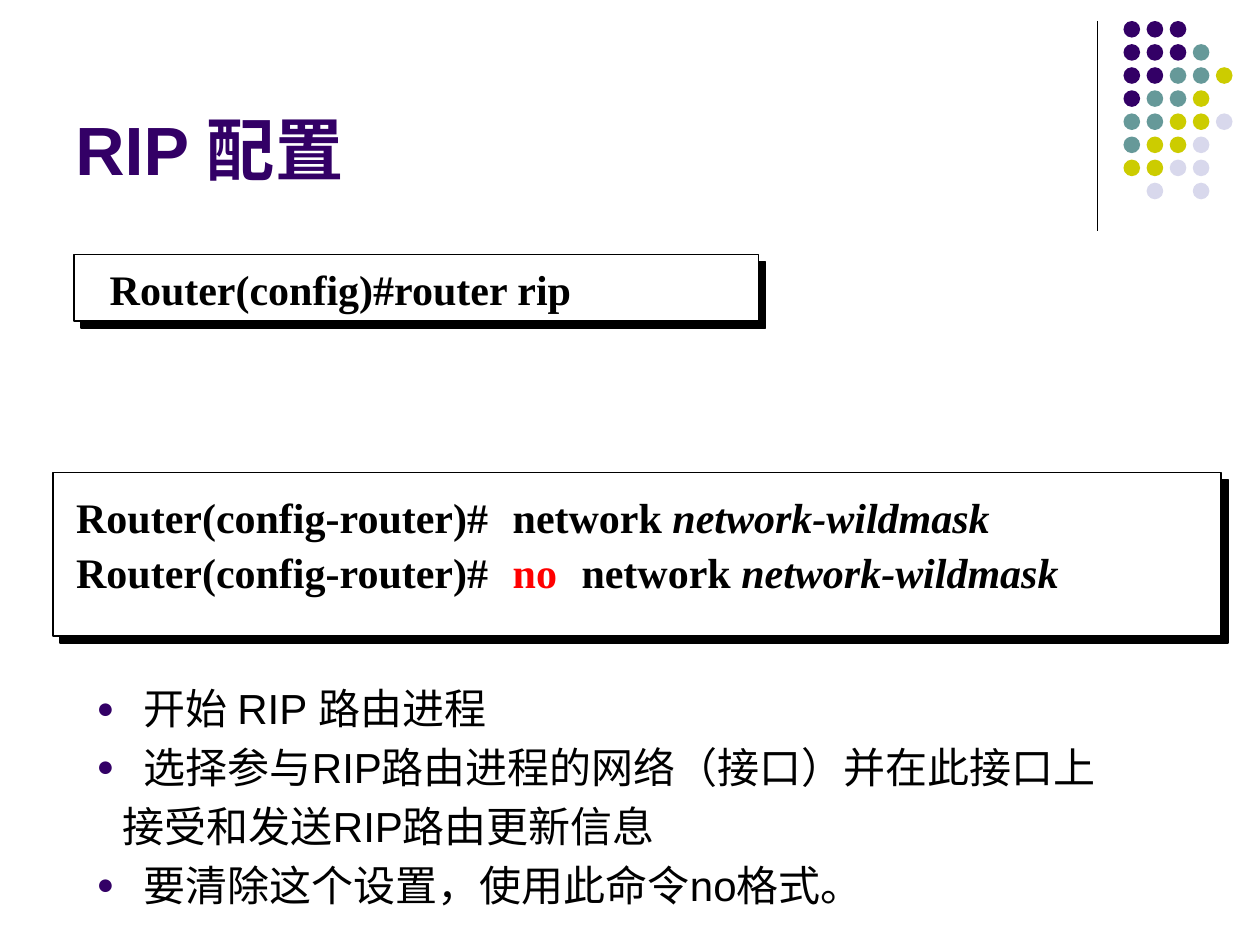
from lxml import etree
from pptx import Presentation
from pptx import util as u
from pptx.dml.color import RGBColor
from pptx.enum import shapes, text
from pptx.oxml import parse_xml
from pptx.oxml.ns import nsdecls, qn

Pt = u.Pt
PURPLE, TEAL, OLIVE, PALE = "330066", "669999", "CCCC00", "D8D8EC"
BLACK, WHITE, RED = "000000", "FFFFFF", "FF0000"
DOT_COLORS = {"P": PURPLE, "T": TEAL, "O": OLIVE, "L": PALE}
DOT_ROWS = ["PPP", "PPPT", "PPTTO", "PTTO", "TTOOL", "TOOL", "OOLL", " L L"]


def color(value):
    """Turn a hex string into a colour."""
    return RGBColor.from_string(value)


def add_run(paragraph, words, font="Arial", size=24, fill=BLACK, bold=False,
            italic=False, spacing=0):
    """Append formatted words to a paragraph."""
    run = paragraph.add_run()
    run.text = words
    run.font.name, run.font.size = font, Pt(size)
    run.font.bold, run.font.italic = bold, italic
    run.font.color.rgb = color(fill)
    if spacing:
        run.font._element.set("spc", str(int(spacing * 100)))


def text_frame(slide, box, margins=(7.2, 3.6), wrap=True, anchor="TOP"):
    """Add a text box and return its frame."""
    frame = slide.shapes.add_textbox(*map(Pt, box)).text_frame
    frame.margin_left = frame.margin_right = Pt(margins[0])
    frame.margin_top = frame.margin_bottom = Pt(margins[1])
    frame.word_wrap = wrap
    frame.vertical_anchor = text.MSO_ANCHOR[anchor]
    return frame


def paragraphs(frame, count):
    """Return the given number of paragraphs of an empty frame."""
    return [frame.paragraphs[0]] + [frame.add_paragraph() for _ in range(count - 1)]


def dot_corner(slide, left, top, height):
    """Draw the vertical rule and the dot pattern to its right."""
    rule = slide.shapes.add_connector(
        shapes.MSO_CONNECTOR.STRAIGHT, Pt(left), Pt(top), Pt(left), Pt(top + height))
    rule.line.color.rgb, rule.line.width = color(BLACK), Pt(0.75)
    etree.SubElement(rule._element.spPr, qn("a:effectLst"))
    pitch, size = 13.2, 9.5
    for row, codes in enumerate(DOT_ROWS):
        for column, code in enumerate(codes):
            if code == " ":
                continue
            dot = slide.shapes.add_shape(
                shapes.MSO_SHAPE.OVAL, Pt(left + 15 + column * pitch),
                Pt(top + row * pitch), Pt(size), Pt(size))
            dot.shadow.inherit = False
            dot.fill.solid()
            dot.fill.fore_color.rgb = color(DOT_COLORS[code])
            dot.line.fill.background()


def title(slide, box, words):
    """Place the slide title at the bottom of its box."""
    frame = text_frame(slide, box, anchor="BOTTOM")
    add_run(frame.paragraphs[0], words, size=39, fill=PURPLE, bold=True)


def command_panel(slide, box, inset, lines):
    """Draw a shadowed panel with command lines inset from its corner."""
    left, top, width, height = box
    panel = slide.shapes.add_shape(shapes.MSO_SHAPE.RECTANGLE, *map(Pt, box))
    panel.fill.solid()
    panel.fill.fore_color.rgb = color(WHITE)
    panel.line.color.rgb, panel.line.width = color(BLACK), Pt(1)
    panel._element.spPr.append(parse_xml(
        f'<a:effectLst {nsdecls("a")}><a:outerShdw dist="{Pt(5.7)}" dir="2700000" '
        f'algn="ctr" rotWithShape="0"><a:srgbClr val="{BLACK}"/></a:outerShdw></a:effectLst>'))
    dx, dy = inset
    frame = text_frame(slide, (left + dx, top + dy, width - 2 * dx, height - dy),
                       margins=(1.5, 2.2), wrap=False)
    for paragraph, parts in zip(paragraphs(frame, len(lines)), lines):
        paragraph.line_spacing = Pt(31.5)
        for words, look in parts:
            add_run(paragraph, words, font="Times New Roman", bold=True, **look)


def bullet_list(slide, box, items):
    """Place the notes, each with a bullet or as a continuation line."""
    frame = text_frame(slide, box)
    for index, (paragraph, (words, bulleted)) in enumerate(
            zip(paragraphs(frame, len(items)), items)):
        properties = paragraph._p.get_or_add_pPr()
        properties.set("marL", str(Pt(27)))
        properties.set("indent", str(Pt(-27 if bulleted else -12)))
        if bulleted:
            bullet_color = etree.SubElement(properties, qn("a:buClr"))
            etree.SubElement(bullet_color, qn("a:srgbClr"), val=PURPLE)
            etree.SubElement(properties, qn("a:buSzPct"), val="70000")
            etree.SubElement(properties, qn("a:buFont"), typeface="Arial")
            etree.SubElement(properties, qn("a:buChar"), char="●")
        else:
            etree.SubElement(properties, qn("a:buNone"))
        if index:
            paragraph.space_before = Pt(4.8)
        add_run(paragraph, words)


def main():
    """Build the slide and save it."""
    deck = Presentation()
    deck.slide_width, deck.slide_height = Pt(720), Pt(540)
    slide = deck.slides.add_slide(deck.slide_layouts[6])
    dot_corner(slide, 627, 12, 120)
    title(slide, (36, 9.5, 594, 102), "RIP 配置")
    command_panel(slide, (42.5, 145.5, 391, 38), (18.7, 0),
                  [[("Router(config)#router rip", {})]])
    prompt, gap = ("Router(config-router)#", {}), (" ", {"spacing": 8})
    network = [("network", {}), (" network-wildmask", {"italic": True})]
    command_panel(slide, (30.2, 270, 667.4, 93.6), (11.8, 5.8),
                  [[prompt, gap, *network],
                   [prompt, gap, ("no", {"fill": RED}), gap, *network]])
    bullet_list(slide, (48.2, 386.6, 629.3, 138.2), [
        ("开始 RIP 路由进程", True),
        ("选择参与RIP路由进程的网络（接口）并在此接口上", True),
        ("接受和发送RIP路由更新信息", False),
        ("要清除这个设置，使用此命令no格式。", True)])
    deck.save("out.pptx")


if __name__ == "__main__":
    main()
